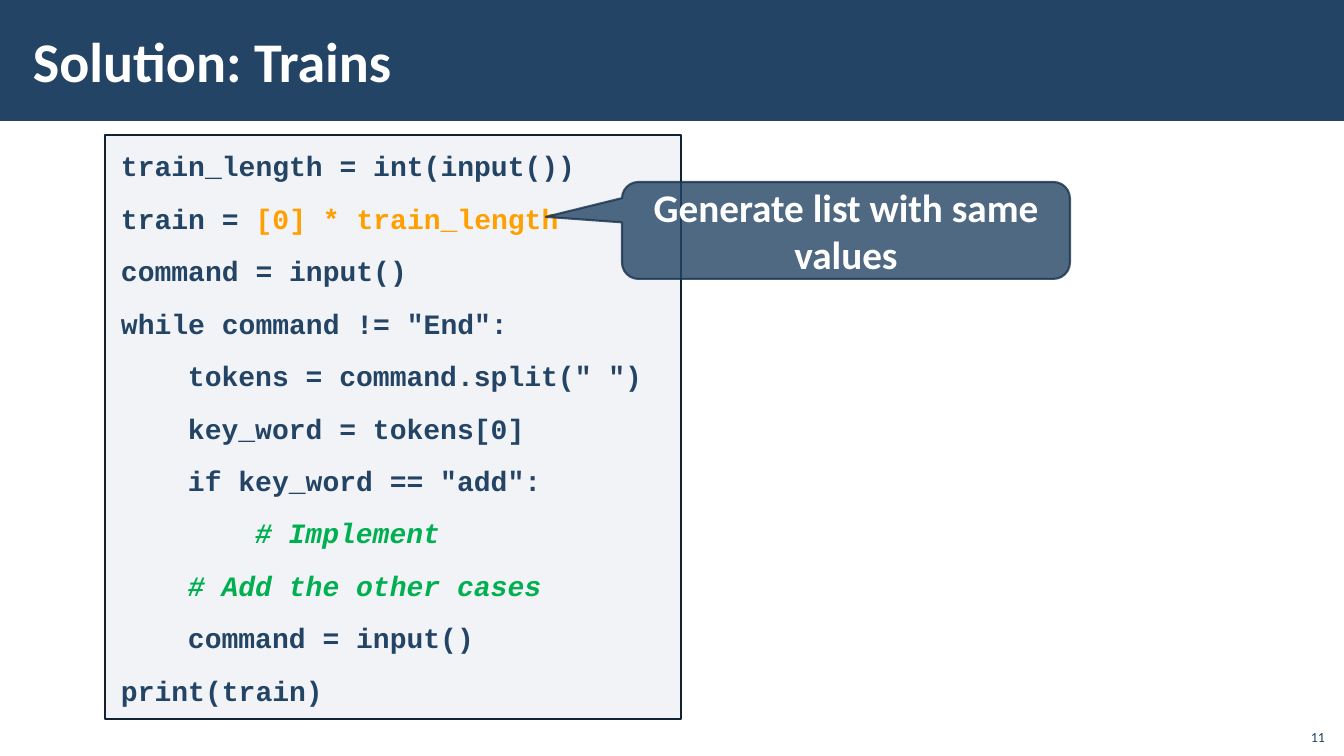
from dataclasses import dataclass

from lxml import etree
from pptx import Presentation
from pptx.dml.color import RGBColor
from pptx.enum.shapes import MSO_SHAPE
from pptx.enum.text import MSO_ANCHOR, MSO_AUTO_SIZE, PP_ALIGN
from pptx.oxml.ns import qn
from pptx.util import Pt

RECTANGLE = MSO_SHAPE.RECTANGLE
CALLOUT = MSO_SHAPE.ROUNDED_RECTANGULAR_CALLOUT
LEFT, CENTER, RIGHT = PP_ALIGN.LEFT, PP_ALIGN.CENTER, PP_ALIGN.RIGHT
TOP, MIDDLE, BOTTOM = MSO_ANCHOR.TOP, MSO_ANCHOR.MIDDLE, MSO_ANCHOR.BOTTOM


@dataclass(frozen=True)
class Theme:
    navy: str = "234465"
    white: str = "FFFFFF"
    panel: str = "ADB4C3"
    panel_line: str = "112233"
    callout_line: str = "1A334C"
    highlight: str = "FFA000"
    comment: str = "00B050"
    text_font: str = "Calibri"
    code_font: str = "Courier New"
    title_size: int = 40
    callout_size: int = 28
    code_size: int = 20
    number_size: int = 10


THEME = Theme()

TITLE = "Solution: Trains"
CALLOUT_TEXT = "Generate list with same values"
SLIDE_NUMBER = "11"
# Each line of code: indent level, then (text, style) pieces
CODE = [
    (0, [("train_length = int(input())", "code")]),
    (0, [("train = ", "code"), ("[0] * train_length", "highlight")]),
    (0, [("command = input()", "code")]),
    (0, [('while command != "End":', "code")]),
    (1, [('tokens = command.split(" ")', "code")]),
    (1, [("key_word = tokens[0]", "code")]),
    (1, [('if key_word == "add":', "code")]),
    (2, [("# Implement", "comment")]),
    (1, [("# Add the other cases", "comment")]),
    (1, [("command = input()", "code")]),
    (0, [("print(train)", "code")]),
]
CODE_COLORS = {"code": THEME.navy, "highlight": THEME.highlight, "comment": THEME.comment}

# Boxes in px: left, top, width, height
SLIDE_SIZE = (1344, 756)
HEADER_BOX = (0, 0, 1344, 121)
TITLE_BOX = (21, 11, 1072, 98)
CODE_BOX = (105, 135, 576, 584)
CALLOUT_BOX = (622, 182, 448, 97)
NUMBER_BOX = (1295, 718, 40, 32)
CALLOUT_ADJUSTMENTS = (-0.67, -0.14, 0.17)
INDENT = 67  # four code characters
EMU_PER_PX = 914400 / 100.8


def px(length):
    return round(length * EMU_PER_PX)


def place(shape, box):
    shape.left, shape.top, shape.width, shape.height = map(px, box)


def paint(fill, color, opacity=100):
    """Fill with a solid colour, see-through when opacity is below 100 percent."""
    fill.solid()
    fill.fore_color.rgb = RGBColor.from_string(color)
    if opacity < 100:
        color_element = fill._xPr.find(qn("a:solidFill"))[0]
        etree.SubElement(color_element, qn("a:alpha"), val=str(opacity * 1000))


def set_frame(frame, anchor, horizontal=10, vertical=5):
    frame.word_wrap = True
    frame.auto_size = MSO_AUTO_SIZE.NONE
    frame.vertical_anchor = anchor
    frame.margin_left = frame.margin_right = px(horizontal)
    frame.margin_top = frame.margin_bottom = px(vertical)


def set_font(font, name, size, color, bold=True):
    font.name, font.size, font.bold = name, Pt(size), bold
    font.color.rgb = RGBColor.from_string(color)


def write(shape, text, size, color, alignment, bold=True):
    paragraph = shape.text_frame.paragraphs[0]
    paragraph.text = text
    paragraph.alignment = alignment
    set_font(paragraph.font, THEME.text_font, size, color, bold)


def add_header(slide):
    title = slide.shapes.title
    bar = slide.shapes.add_shape(RECTANGLE, *map(px, HEADER_BOX))
    bar.shadow.inherit = False
    paint(bar.fill, THEME.navy)
    bar.line.fill.background()
    title.element.addprevious(bar.element)  # behind the title

    place(title, TITLE_BOX)
    set_frame(title.text_frame, MIDDLE, 12, 4)
    write(title, TITLE, THEME.title_size, THEME.white, LEFT)


def add_code(slide):
    body = slide.placeholders[1]
    place(body, CODE_BOX)
    paint(body.fill, THEME.panel, 15)
    paint(body.line.fill, THEME.panel_line)
    body.line.width = Pt(1)
    frame = body.text_frame
    set_frame(frame, TOP, 16, 12)

    for index, (level, pieces) in enumerate(CODE):
        paragraph = frame.add_paragraph() if index else frame.paragraphs[0]
        paragraph.alignment = LEFT
        paragraph.space_before = paragraph.space_after = Pt(6)
        paragraph.line_spacing = 1.06
        set_font(paragraph.font, THEME.code_font, THEME.code_size, CODE_COLORS[pieces[0][1]])
        properties = paragraph._p.get_or_add_pPr()
        properties.set("marL", str(px(level * INDENT)))
        properties.set("indent", "0")
        properties.insert_element_before(
            properties.makeelement(qn("a:buNone")), "a:tabLst", "a:defRPr", "a:extLst")
        for text, style in pieces:
            run = paragraph.add_run()
            run.text = text
            set_font(run.font, THEME.code_font, THEME.code_size, CODE_COLORS[style])
            run.font.italic = style == "comment"


def add_callout(slide):
    callout = slide.shapes.add_shape(CALLOUT, *map(px, CALLOUT_BOX))
    for index, value in enumerate(CALLOUT_ADJUSTMENTS):
        callout.adjustments[index] = value
    callout.shadow.inherit = False
    paint(callout.fill, THEME.navy, 80)
    paint(callout.line.fill, THEME.callout_line, 80)
    callout.line.width = Pt(1.5)
    set_frame(callout.text_frame, MIDDLE)
    write(callout, CALLOUT_TEXT, THEME.callout_size, THEME.white, CENTER)


def add_slide_number(slide):
    number = slide.shapes.add_textbox(*map(px, NUMBER_BOX))
    set_frame(number.text_frame, BOTTOM)
    write(number, SLIDE_NUMBER, THEME.number_size, THEME.navy, RIGHT, bold=False)


def main():
    presentation = Presentation()
    presentation.slide_width, presentation.slide_height = map(px, SLIDE_SIZE)
    slide = presentation.slides.add_slide(presentation.slide_layouts[1])
    add_header(slide)
    add_code(slide)
    add_callout(slide)
    add_slide_number(slide)
    presentation.save("out.pptx")


if __name__ == "__main__":
    main()
